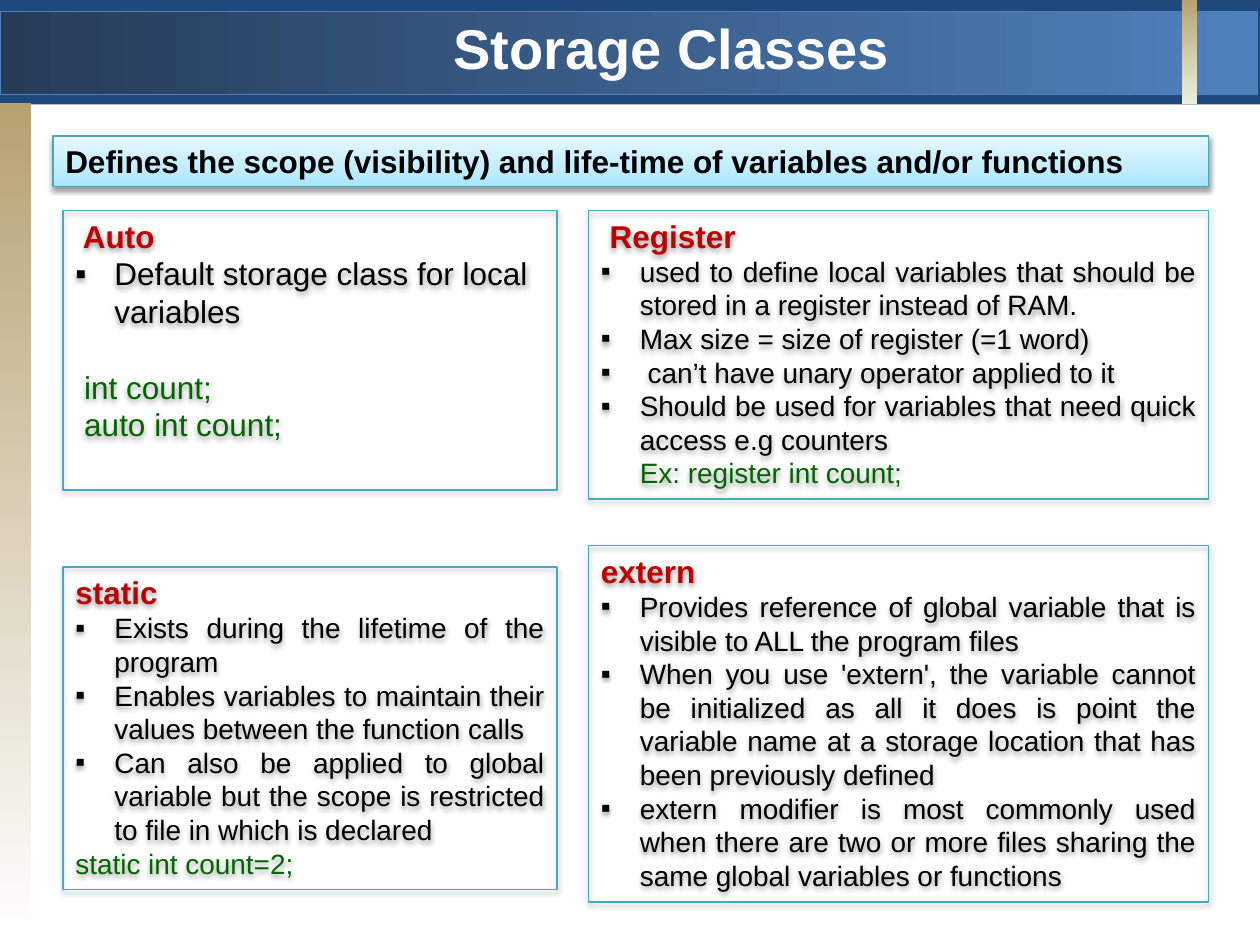
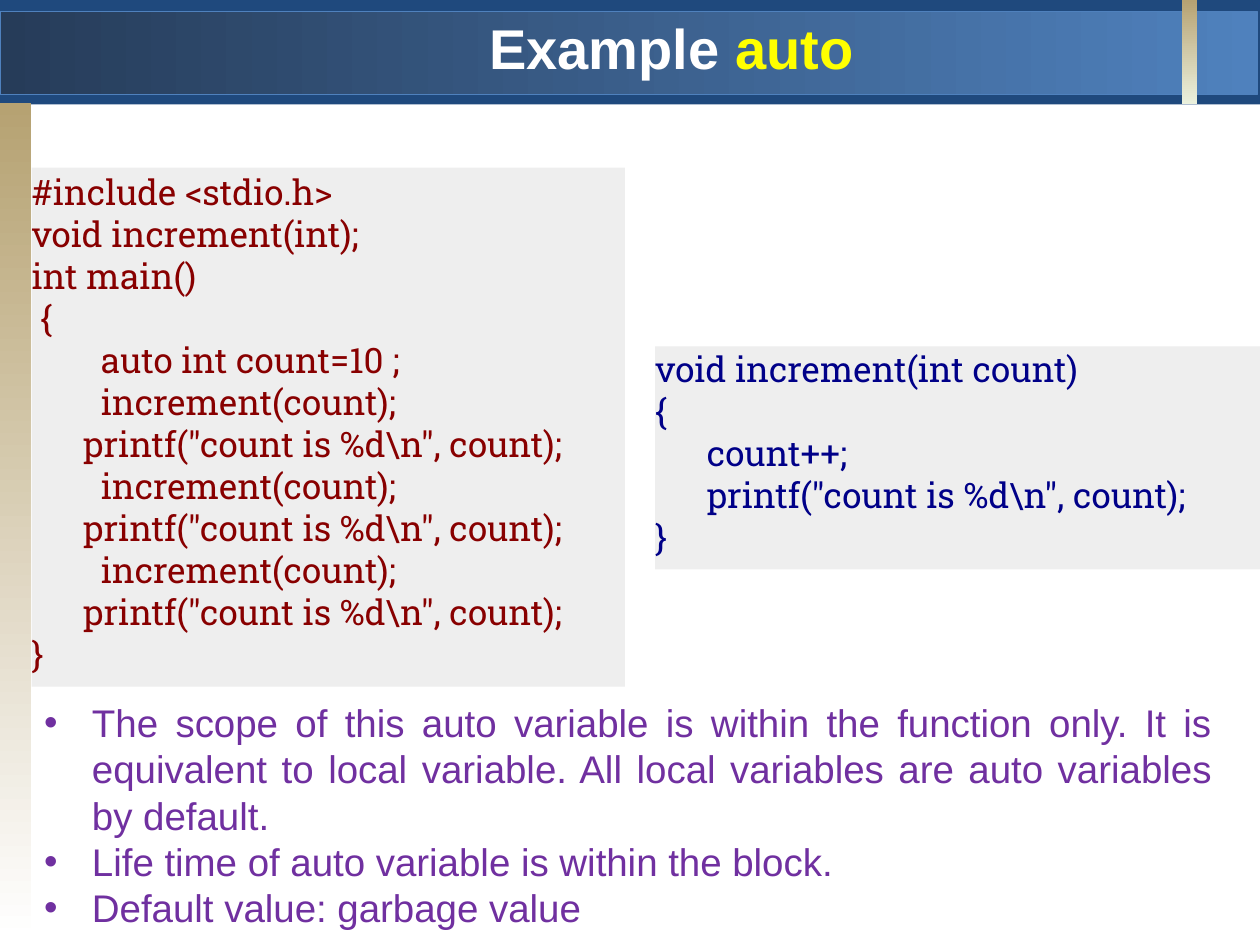
from lxml.etree import SubElement
from pptx import Presentation
from pptx.dml.color import RGBColor
from pptx.enum.shapes import MSO_SHAPE
from pptx.enum.text import MSO_ANCHOR, MSO_AUTO_SIZE, PP_ALIGN
from pptx.oxml.ns import qn
from pptx.util import Inches, Pt

COLORS = {
    "navy": "1F497D", "band_dark": "263C59", "band_light": "4F81BD",
    "tan": "B6A272", "cream": "EBF1DE", "white": "FFFFFF",
    "teal": "46AAC5", "ice_deep": "A7E6FF", "ice_mid": "C1EDFF", "ice_pale": "E7F8FF",
    "black": "000000", "red": "C00000", "green": "006600", "yellow": "FFFF00",
    "code_back": "EEEEEE", "code_blue": "000088", "code_red": "880000", "purple": "7030A0",
}
SANS = "Arial"
CODE = "Roboto Slab"
SQUARE = "▪"
DOT = "•"


def color(name):
    return RGBColor.from_string(COLORS[name])


def add_box(slide, box, fill=None, line=None):
    shape = slide.shapes.add_shape(MSO_SHAPE.RECTANGLE, *map(Inches, box))
    shape.shadow.inherit = False
    if fill:
        shape.fill.solid()
        shape.fill.fore_color.rgb = color(fill)
    else:
        shape.fill.background()
    if line:
        shape.line.color.rgb = color(line)
        shape.line.width = Pt(0.75)
    else:
        shape.line.fill.background()
    return shape


def set_gradient(shape, angle, stops):
    shape.fill.gradient()
    shape.fill.gradient_angle = angle
    stop_list = shape.element.spPr.find(".//" + qn("a:gsLst"))
    for stop in list(stop_list):
        stop_list.remove(stop)
    for position, name in stops:
        stop = SubElement(stop_list, qn("a:gs"), pos=str(position * 1000))
        SubElement(stop, qn("a:srgbClr"), val=COLORS[name])


def add_shadow(shape):
    effects = shape.element.spPr.find(qn("a:effectLst"))
    shadow = SubElement(effects, qn("a:outerShdw"), blurRad="40000", dist="20000",
                        dir="5400000", rotWithShape="0")
    tint = SubElement(shadow, qn("a:srgbClr"), val=COLORS["black"])
    SubElement(tint, qn("a:alpha"), val="38000")


def prepare_frame(shape, anchor=MSO_ANCHOR.TOP):
    frame = shape.text_frame
    frame.word_wrap = True
    frame.auto_size = MSO_AUTO_SIZE.NONE
    frame.vertical_anchor = anchor
    return frame


def add_span(para, text, size, tone, bold=False, font=SANS):
    span = para.add_run()
    span.text = text
    span.font.name = font
    span.font.size = Pt(size)
    span.font.bold = bold
    span.font.color.rgb = color(tone)


def add_para(frame, align=PP_ALIGN.LEFT, indent=0, bullet=None, before=0):
    first = frame.paragraphs[0]
    para = frame.add_paragraph() if first.runs else first
    para.alignment = align
    para.space_before = Pt(before)
    props = para._p.get_or_add_pPr()
    props.set("marL", str(Inches(indent)))
    props.set("indent", str(-Inches(indent) if bullet else 0))
    if bullet:
        SubElement(props, qn("a:buFont"), typeface=SANS)
        SubElement(props, qn("a:buChar"), char=bullet)
    return para


def decorate_master(deck, slide):
    master = deck.slide_master
    title = master.placeholders[0]
    title.left, title.top, title.width, title.height = map(Inches, (1.58, 0.08, 7.5, 0.58))
    header = add_box(slide, (0, 0, 10, 0.83), fill="navy")
    band = add_box(slide, (0, 0.09, 9.98, 0.66), line="band_light")
    set_gradient(band, 0, [(0, "band_dark"), (100, "band_light")])
    side = add_box(slide, (0, 0.82, 0.25, 6.64))
    set_gradient(side, 270, [(0, "tan"), (100, "white")])
    ribbon = add_box(slide, (9.38, 0, 0.12, 0.83))
    set_gradient(ribbon, 270, [(0, "tan"), (100, "cream")])
    for place, shape in enumerate((header, band, side, ribbon), start=2):
        master.shapes.element.insert(place, shape.element)


def fill_title(slide, spans):
    frame = prepare_frame(slide.shapes.title, MSO_ANCHOR.MIDDLE)
    para = add_para(frame, PP_ALIGN.CENTER)
    for text, tone in spans:
        add_span(para, text, 32, tone, bold=True)


def add_definition(slide, box, text):
    shape = add_box(slide, box, line="teal")
    set_gradient(shape, 90, [(0, "ice_deep"), (35, "ice_mid"), (100, "ice_pale")])
    add_shadow(shape)
    frame = prepare_frame(shape, MSO_ANCHOR.MIDDLE)
    add_span(add_para(frame), text, 18, "black", bold=True)


def add_class_card(slide, box, heading, points, samples=(), size=16,
                   align=PP_ALIGN.JUSTIFY, sample_indent=0, sample_gap=0):
    shape = add_box(slide, box, line="teal")
    add_shadow(shape)
    frame = prepare_frame(shape)
    add_span(add_para(frame), heading, 18, "red", bold=True)
    for point in points:
        add_span(add_para(frame, align, 0.31, SQUARE), point, size, "black")
    for number, sample in enumerate(samples):
        gap = 0 if number else sample_gap
        add_span(add_para(frame, indent=sample_indent, before=gap), sample, size, "green")


def add_code(slide, box, tone, lines):
    frame = prepare_frame(add_box(slide, box, fill="code_back"), MSO_ANCHOR.MIDDLE)
    frame.margin_left = frame.margin_top = frame.margin_right = 0
    frame.margin_bottom = Inches(0.08)
    for indent, text in lines:
        add_span(add_para(frame, indent=indent), text, 20, tone, font=CODE)


def fill_notes(slide, box, points):
    body = slide.placeholders[1]
    body.left, body.top, body.width, body.height = map(Inches, box)
    frame = prepare_frame(body)
    for point in points:
        add_span(add_para(frame, PP_ALIGN.JUSTIFY, 0.38, DOT), point, 22, "purple")


def build_classes(slide):
    fill_title(slide, [("Storage Classes", "white")])
    add_definition(slide, (0.42, 1.08, 9.17, 0.4),
                   "Defines the scope (visibility) and life-time of variables and/or functions")
    left, left_width = 0.5, 3.92
    right, right_width = 4.67, 4.92
    add_class_card(
        slide, (left, 1.67, left_width, 2.22), " Auto",
        ["Default storage class for local variables"],
        ["int count;", "auto int count;"],
        size=18, align=PP_ALIGN.LEFT, sample_indent=0.07, sample_gap=21.5)
    add_class_card(
        slide, (right, 1.67, right_width, 2.29), " Register",
        ["used to define local variables that should be stored in a register instead of RAM.",
         "Max size = size of register (=1 word)",
         " can’t have unary operator applied to it",
         "Should be used for variables that need quick access e.g counters"],
        ["Ex: register int count;"], sample_indent=0.31)
    add_class_card(
        slide, (left, 4.5, left_width, 2.56), "static",
        ["Exists during the lifetime of the program",
         "Enables variables to maintain their values between the function calls",
         "Can also be applied to global variable but the scope is restricted "
         "to file in which is declared"],
        ["static int count=2;"])
    add_class_card(
        slide, (right, 4.33, right_width, 2.83), "extern",
        ["Provides reference of global variable that is visible to ALL the program files",
         "When you use 'extern', the variable cannot be initialized as all it does is point "
         "the variable name at a storage location that has been previously defined",
         "extern modifier is most commonly used when there are two or more files sharing "
         "the same global variables or functions"])


def build_example(slide):
    fill_title(slide, [("Example ", "white"), ("auto", "yellow")])
    print_line = (0.41, 'printf("count is %d\\n", count);')
    call_and_print = [(0.55, "increment(count);"), print_line]
    add_code(slide, (5.2, 2.75, 4.8, 1.77), "code_blue",
             [(0, "void increment(int count)"), (0, "{"), (0.41, "count++;"),
              print_line, (0, "}")])
    add_code(slide, (0.25, 1.33, 4.71, 4.12), "code_red",
             [(0, "#include <stdio.h>"), (0, "void increment(int);"), (0, "int main()"),
              (0.07, "{"), (0.55, "auto int count=10 ;"), *call_and_print * 3, (0, "}")])
    fill_notes(slide, (0.25, 5.5, 9.47, 1.95),
               ["The scope of this auto variable is within the function only. It is equivalent "
                "to local variable. All local variables are auto variables by default.",
                "Life time of auto variable is within the block.",
                "Default value: garbage value"])


def main():
    deck = Presentation()
    deck.slide_width, deck.slide_height = Inches(10), Inches(7.5)
    classes = deck.slides.add_slide(deck.slide_layouts.get_by_name("Title Only"))
    decorate_master(deck, classes)
    build_classes(classes)
    build_example(deck.slides.add_slide(deck.slide_layouts.get_by_name("Title and Content")))
    deck.save("out.pptx")


if __name__ == "__main__":
    main()
